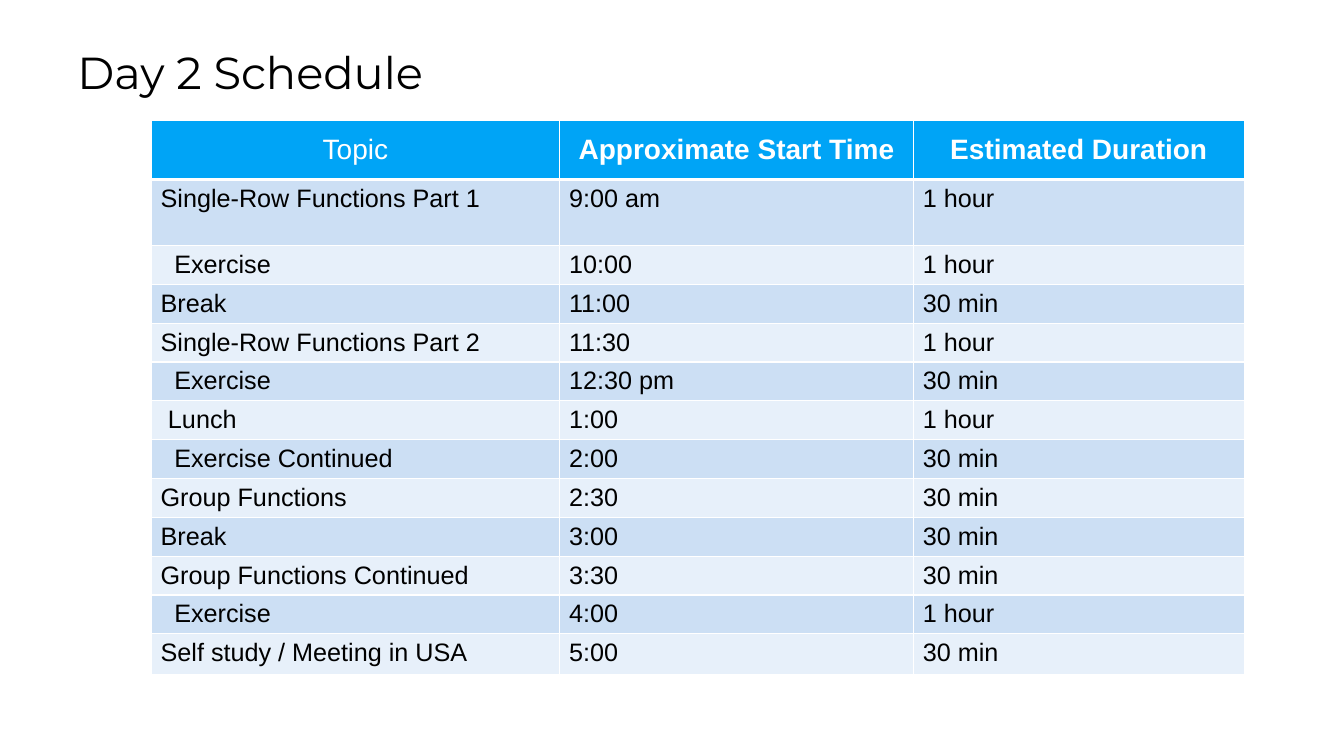
from dataclasses import dataclass

from lxml.etree import SubElement
from pptx import Presentation
from pptx.dml.color import RGBColor as Rgb
from pptx.enum.text import MSO_ANCHOR as Anchor, PP_ALIGN as Align
from pptx.oxml.ns import qn
from pptx.util import Pt

PX = 9525  # EMU in one px, 1280 x 720 px on the slide


@dataclass(frozen=True)
class Theme:
    ink: str = "000000"
    white: str = "FFFFFF"
    header: str = "00A4F6"
    bands: tuple = ("CCDFF4", "E7F0FA")
    title_font: str = "Montserrat"
    table_font: str = "Arial"
    title_size: int = 32
    header_size: int = 20
    body_size: int = 18
    rule: int = 1
    header_rule: int = 3


class ScheduleSlide:
    def __init__(self, deck, theme):
        self.theme = theme
        self.slide = deck.slides.add_slide(deck.slide_layouts[5])

    def style(self, frame, font, size, color, align, bold=False):
        for paragraph in frame.paragraphs:
            paragraph.alignment = align
            for run in paragraph.runs:
                run.font.name = font
                run.font.size = Pt(size)
                run.font.bold = bold
                run.font.color.rgb = Rgb.from_string(color)

    def title(self, text, left, top, width, height):
        heading = self.slide.shapes.title
        heading.left, heading.top = left * PX, top * PX
        heading.width, heading.height = width * PX, height * PX
        frame = heading.text_frame
        frame.text = text
        frame.vertical_anchor = Anchor.MIDDLE
        self.style(frame, self.theme.title_font, self.theme.title_size,
                   self.theme.ink, Align.LEFT)

    def borders(self, cell, top, bottom):
        rule = self.theme.rule
        sides = {"a:lnL": rule, "a:lnR": rule, "a:lnT": top, "a:lnB": bottom}
        properties = cell._tc.get_or_add_tcPr()
        for side, width in sides.items():
            line = SubElement(properties, qn(side), w=str(Pt(width)))
            fill = SubElement(line, qn("a:solidFill"))
            SubElement(fill, qn("a:srgbClr"), val=self.theme.white)

    def cell(self, cell, text, fill, top, bottom, inset=9):
        self.borders(cell, top, bottom)
        cell.fill.solid()
        cell.fill.fore_color.rgb = Rgb.from_string(fill)
        cell.margin_left, cell.margin_right = inset * PX, 9 * PX
        cell.text_frame.text = text

    def table(self, headings, sessions, left, top, widths, heights):
        theme = self.theme
        schedule = self.slide.shapes.add_table(
            len(heights), len(widths), left * PX, top * PX,
            sum(widths) * PX, sum(heights) * PX).table
        for column, width in zip(schedule.columns, widths):
            column.width = width * PX
        for row, height in zip(schedule.rows, heights):
            row.height = height * PX

        # Header row
        for column, (heading, bold) in enumerate(headings):
            cell = schedule.cell(0, column)
            self.cell(cell, heading, theme.header, theme.rule, theme.header_rule)
            cell.vertical_anchor = Anchor.MIDDLE
            self.style(cell.text_frame, theme.table_font, theme.header_size,
                       theme.white, Align.CENTER, bold)

        # Banded session rows
        for row, (indent, *session) in enumerate(sessions, start=1):
            band = theme.bands[(row - 1) % 2]
            above = theme.header_rule if row == 1 else theme.rule
            for column, text in enumerate(session):
                cell = schedule.cell(row, column)
                inset = 9 + (indent if column == 0 else 0)
                self.cell(cell, text, band, above, theme.rule, inset)
                self.style(cell.text_frame, theme.table_font, theme.body_size,
                           theme.ink, Align.LEFT)


HEADINGS = [("Topic", False), ("Approximate Start Time", True),
            ("Estimated Duration", True)]

# Topic indent in px, topic, start time, duration
SESSIONS = [
    (0, "Single-Row Functions Part 1", "9:00 am", "1 hour"),
    (13, "Exercise", "10:00", "1 hour"),
    (0, "Break", "11:00", "30 min"),
    (0, "Single-Row Functions Part 2", "11:30", "1 hour"),
    (13, "Exercise", "12:30 pm", "30 min"),
    (7, "Lunch", "1:00", "1 hour"),
    (13, "Exercise Continued", "2:00", "30 min"),
    (0, "Group Functions", "2:30", "30 min"),
    (0, "Break", "3:00", "30 min"),
    (0, "Group Functions Continued", "3:30", "30 min"),
    (13, "Exercise", "4:00", "1 hour"),
    (0, "Self study / Meeting in USA", "5:00", "30 min"),
]


def main():
    deck = Presentation()
    deck.slide_width, deck.slide_height = 1280 * PX, 720 * PX
    page = ScheduleSlide(deck, Theme())
    page.title("Day 2 Schedule", 64, 37, 1155, 62)
    heights = [56, 63] + [37] * 10 + [39]
    page.table(HEADINGS, SESSIONS, 144, 115, [389, 337, 315], heights)
    deck.save("out.pptx")


if __name__ == "__main__":
    main()
